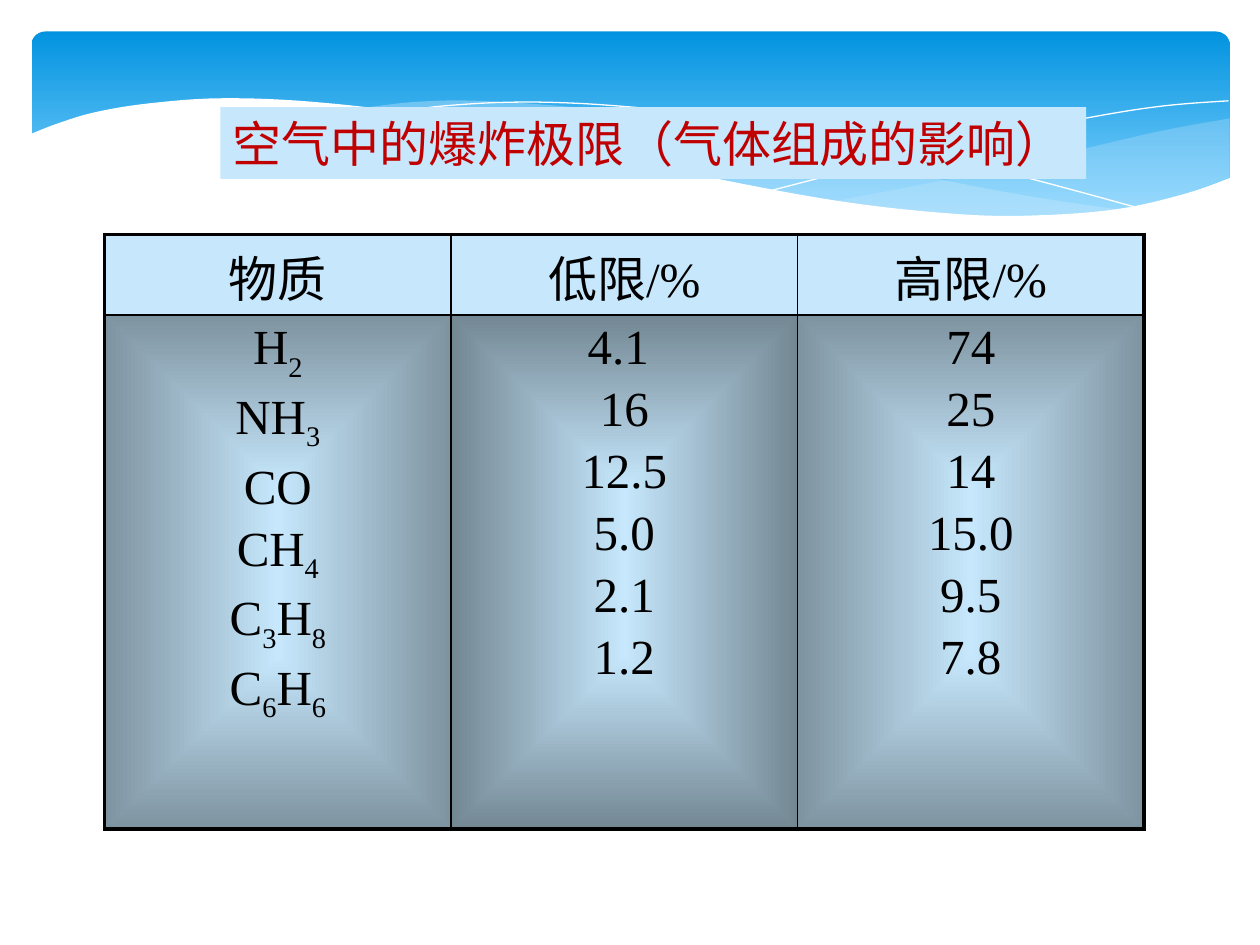
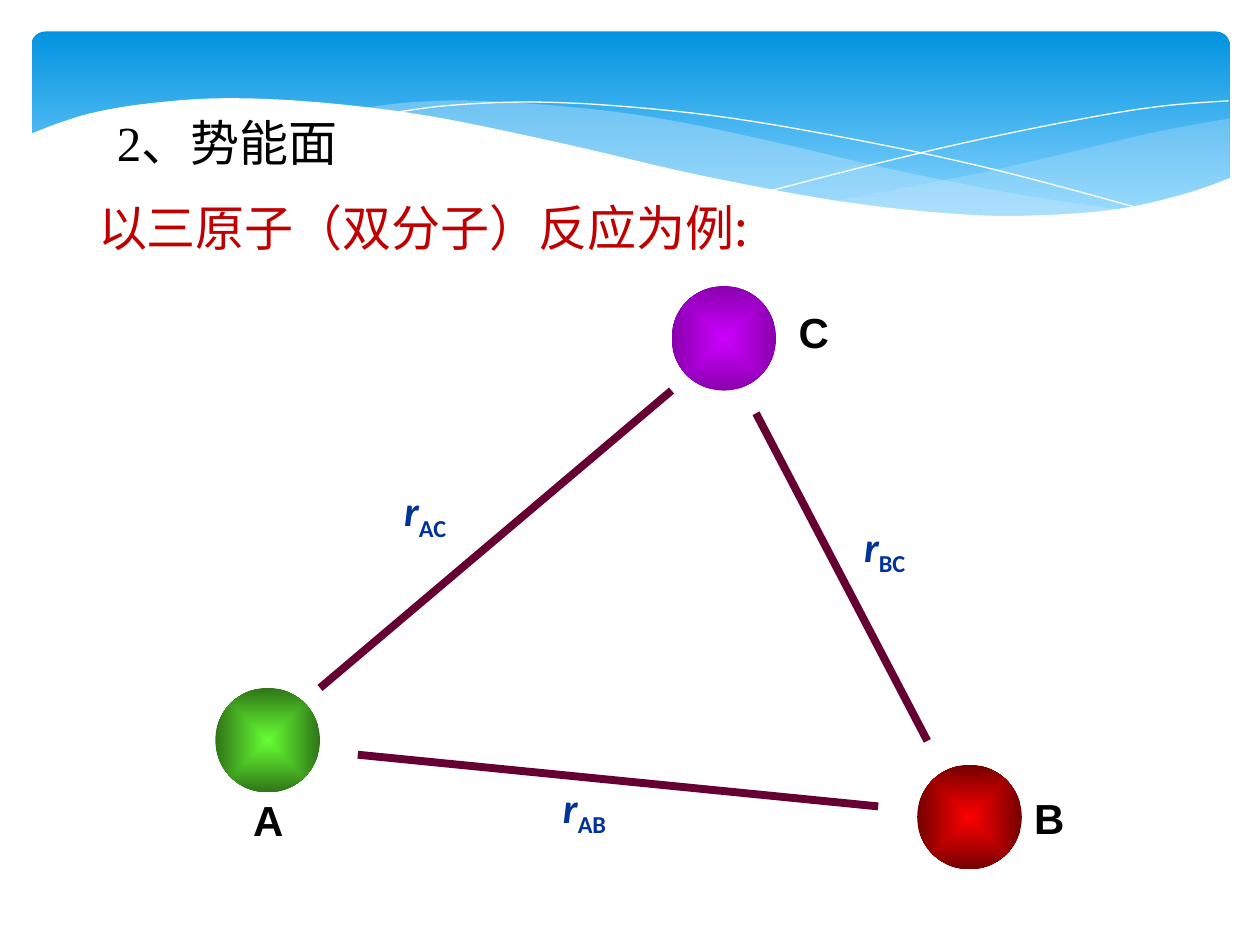
from dataclasses import dataclass, field
from lxml.etree import SubElement as Sub
from pptx import Presentation as Deck
from pptx.dml.color import RGBColor as Rgb
from pptx.enum.shapes import MSO_CONNECTOR as Link, MSO_SHAPE as Kind
from pptx.enum.text import MSO_ANCHOR as Anchor, PP_ALIGN as Align
from pptx.oxml.ns import qn
from pptx.util import Inches, Pt

# Grid: 100 columns by 75 rows, each a tenth of an inch
COLS, ROWS = 100, 75
WIDE, HIGH = Inches(10), Inches(7.5)


@dataclass
class Theme:
    pale: str = "C6E7FC"
    white: str = "FFFFFF"
    black: str = "000000"
    red: str = "C00000"
    blue: str = "003399"
    plum: str = "660033"
    sky: tuple = ("0293E0", "83D3FE")
    edge: tuple = ("7E93A0", "738793", "7E93A0")
    balls: dict = field(default_factory=lambda: {
        "A": ("66FF33", "2F7517"),
        "B": ("FF0000", "750000"),
        "C": ("CC00FF", "8A00AD")})
    thick: float = 2.25
    thin: float = 1
    bond: float = 4.5
    gap: float = 4.4

    def __post_init__(self):
        big, mid = Pt(28), Pt(24)
        self.title = {"name": "Calibri", "size": big, "color": self.red}
        self.lead = {"name": "Noto Sans CJK SC", "size": big, "color": self.red}
        self.body = {"name": "Times New Roman", "size": big, "color": self.black}
        self.atom = {"name": "Arial", "size": mid, "bold": True,
                     "color": self.black}
        self.dist = {"name": "Calibri", "size": mid, "bold": True,
                     "italic": True, "color": self.blue}


def bend(*knots, steps=6):
    """Points of a smooth curve through the knots."""
    ends = [knots[0], *knots, knots[-1]]
    dots = []
    for a, b, c, d in zip(ends, ends[1:], ends[2:], ends[3:]):
        for i in range(steps):
            t = i / steps
            dots.append(tuple(
                q + t * ((r - p) + t * ((2 * p - 5 * q + 4 * r - s)
                                        + t * (3 * q - p - 3 * r + s))) / 2
                for p, q, r, s in zip(a, b, c, d)))
    return dots + [knots[-1]]


class Pen:
    def __init__(self, theme):
        self.theme = theme
        self.deck = Deck()
        self.deck.slide_width, self.deck.slide_height = WIDE, HIGH

    def at(self, *cells):
        """Columns and rows, in turn, as lengths."""
        return [round(n * (HIGH / ROWS if i % 2 else WIDE / COLS))
                for i, n in enumerate(cells)]

    # Fills
    def blend(self, fill, node, tones, stop=1, angle=None):
        fill.gradient()
        for mark, tone, spot in zip(fill.gradient_stops, tones, (0, stop)):
            mark.color.rgb, mark.position = Rgb.from_string(tone), spot
        if angle is not None:
            fill.gradient_angle = angle
            return
        line = next(node.iter(qn("a:lin")))
        grad = line.getparent()
        grad.remove(line)
        way = Sub(grad, qn("a:path"), {"path": "shape"})
        Sub(way, qn("a:fillToRect"), dict.fromkeys("ltrb", "50000"))

    def paint(self, fill, tone):
        fill.solid()
        fill.fore_color.rgb = Rgb.from_string(tone)

    # Text: parts between bars are, in turn, on the line and below it
    def words(self, para, text, form):
        for i, part in enumerate(text.split("|")):
            if not part:
                continue
            run = para.add_run()
            run.text = part
            for key, value in form.items():
                if key == "color":
                    run.font.color.rgb = Rgb.from_string(value)
                else:
                    setattr(run.font, key, value)
            if i % 2:
                run.font.italic = False
                run.font._element.set("baseline", "-25000")

    def label(self, box, text, form, fill=None, pad=0.5):
        item = self.slide.shapes.add_textbox(*self.at(*box))
        if fill:
            self.paint(item.fill, fill)
        frame = item.text_frame
        frame.word_wrap = True
        frame.margin_top = frame.margin_bottom = self.at(0, pad)[1]
        self.words(frame.paragraphs[0], text, form)

    # Shapes
    def shape(self, kind, box, tones, **way):
        item = self.slide.shapes.add_shape(kind, *self.at(*box))
        item.shadow.inherit = False
        item.line.fill.background()
        self.blend(item.fill, item._element, tones, **way)
        return item

    def sweep(self, dots, tone, alpha=None, area=True):
        first, *rest = [self.at(*dot) for dot in dots]
        build = self.slide.shapes.build_freeform(*first, scale=1.0)
        build.add_line_segments(rest, close=area)
        item = build.convert_to_shape()
        item.shadow.inherit = False
        if not area:
            item.fill.background()
            self.paint(item.line.fill, tone)
            item.line.width = Pt(0)
            return
        item.line.fill.background()
        self.paint(item.fill, tone)
        if alpha:
            color = next(item._element.iter(qn("a:srgbClr")))
            Sub(color, qn("a:alpha"), val=str(alpha * 1000))

    def line(self, start, end):
        item = self.slide.shapes.add_connector(
            Link.STRAIGHT, *self.at(*start, *end))
        item.line.width = Pt(self.theme.bond)
        item.line.color.rgb = Rgb.from_string(self.theme.plum)
        Sub(item._element.spPr, qn("a:effectLst"))

    # Table: a head row above one tall row of lists
    def border(self, cell, sides):
        props = cell._tc.get_or_add_tcPr()
        for side, width in zip("LRTB", sides):
            rule = Sub(props, qn(f"a:ln{side}"), w=str(Pt(width)))
            solid = Sub(rule, qn("a:solidFill"))
            Sub(solid, qn("a:srgbClr"), val=self.theme.black)

    def table(self, box, highs, heads, lists):
        look = self.theme
        count = len(heads)
        grid = self.slide.shapes.add_table(2, count, *self.at(*box)).table
        for row, high in zip(grid.rows, highs):
            row.height = self.at(0, high)[1]
        for y, texts in enumerate(([[head] for head in heads], lists)):
            for x, lines in enumerate(texts):
                cell = grid.cell(y, x)
                outer = (x == 0, x == count - 1, y == 0, y == 1)
                self.border(cell, [look.thick if o else look.thin
                                   for o in outer])
                if y:
                    self.blend(cell.fill, cell._tc, (look.pale, look.edge[x]))
                else:
                    self.paint(cell.fill, look.pale)
                cell.vertical_anchor = Anchor.TOP
                frame = cell.text_frame
                for i, text in enumerate(lines):
                    para = frame.add_paragraph() if i else frame.paragraphs[0]
                    para.alignment = Align.CENTER
                    if i:
                        para.space_before = Pt(look.gap)
                    self.words(para, text, look.body)

    # New slide with the wave band
    def page(self):
        self.slide = self.deck.slides.add_slide(self.deck.slide_layouts[6])
        look = self.theme
        band = self.shape(Kind.ROUNDED_RECTANGLE, (2.5, 2.5, 95.1, 15.6),
                          look.sky, stop=0.9, angle=270)
        band.adjustments[0] = 0.07
        right = bend((97.6, 9.4), (92.1, 10.4), (86.1, 11.8), (77.9, 13.7),
                     (66.1, 16))
        under = bend((66.1, 16), (73.2, 16.8), (80.3, 17.2), (86.3, 17),
                     (92.1, 16), (97.6, 14.1))
        self.sweep(right + under, look.pale, 29)
        upper = bend((89.3, 16.7), (80.7, 15.4), (70.6, 13.4), (62.9, 11.6),
                     (54.1, 9.7), (46.5, 8.6), (38, 8), (32.8, 8.1),
                     (28.6, 8.6))
        lower = bend((28.6, 8.6), (36.2, 9.7), (44.9, 11.6), (56.6, 14.3),
                     (66.5, 16.1), (74.8, 17), (81.8, 17.3), (89.3, 16.7))
        self.sweep(upper + lower, look.pale, 40)
        self.sweep(bend((30.9, 9), (35.3, 8.4), (41.6, 8.1), (48.9, 8.4),
                        (58.2, 9.4), (69.5, 11.4), (79.5, 13.6),
                        (90.7, 16.6)), look.white, area=False)
        self.sweep(bend((61.3, 15.1), (69.5, 13), (77.6, 11.1), (86.6, 9.3),
                        (92.4, 8.4), (97.5, 8)), look.white, area=False)
        wave = bend((2.3, 10.7), (4.6, 9.8), (7.6, 8.9), (11.9, 8.2),
                    (17.7, 7.8), (25, 8.1), (34, 9.2), (44.7, 11.4),
                    (55.5, 13.9), (66.8, 16), (76.1, 17), (82.3, 17.1),
                    (88.7, 16.6), (94, 15.4), (97.7, 14.1))
        self.sweep(wave + [(97.7, 22.4), (2.3, 22.4)], look.white)


def limits(pen):
    look = pen.theme
    pen.page()
    pen.label((17.5, 8.5, 68.7, 5.7), "空气中的爆炸极限（气体组成的影响）",
              look.title, look.pale)
    pen.table((8.3, 18.6, 82.5, 47.2), (6.4, 40.8),
              ("物质", "低限/%", "高限/%"),
              (("H|2", "NH|3", "CO", "CH|4", "C|3|H|8", "C|6|H|6"),
               ("4.1 ", "16", "12.5", "5.0", "2.1", "1.2"),
               ("74", "25", "14", "15.0", "9.5", "7.8")))


def atoms(pen):
    look = pen.theme
    pen.page()
    pen.label((6.8, 15.7, 58, 4.7), "以三原子（双分子）反应为例:",
              look.lead, pad=0)
    # Atoms and their letters
    size = 8.3
    spots = {"A": ((17.1, 54.6), (19.1, 62.6)),
             "C": ((53.3, 22.7), (62.4, 23.8)),
             "B": ((72.8, 60.7), (81.1, 62.4))}
    for name, (ball, note) in spots.items():
        pen.shape(Kind.OVAL, (*ball, size, size), look.balls[name])
        pen.label((*note, 4.1, 5), name, look.atom)
    # Bonds and their lengths
    bonds = {"AB": ((28.4, 59.9), (69.7, 64), (43.7, 61.5)),
             "AC": ((25.4, 54.6), (53.3, 31), (31.1, 38)),
             "BC": ((60, 32.8), (73.6, 58.8), (67.6, 40.8))}
    for name, (start, end, note) in bonds.items():
        pen.line(start, end)
        pen.label((*note, 10.4, 5), f"r|{name}", look.dist)
    pen.label((8.3, 8.4, 22.8, 5.7), "2、势能面", look.body)


def main():
    pen = Pen(Theme())
    limits(pen)
    atoms(pen)
    pen.deck.save("out.pptx")


if __name__ == "__main__":
    main()
